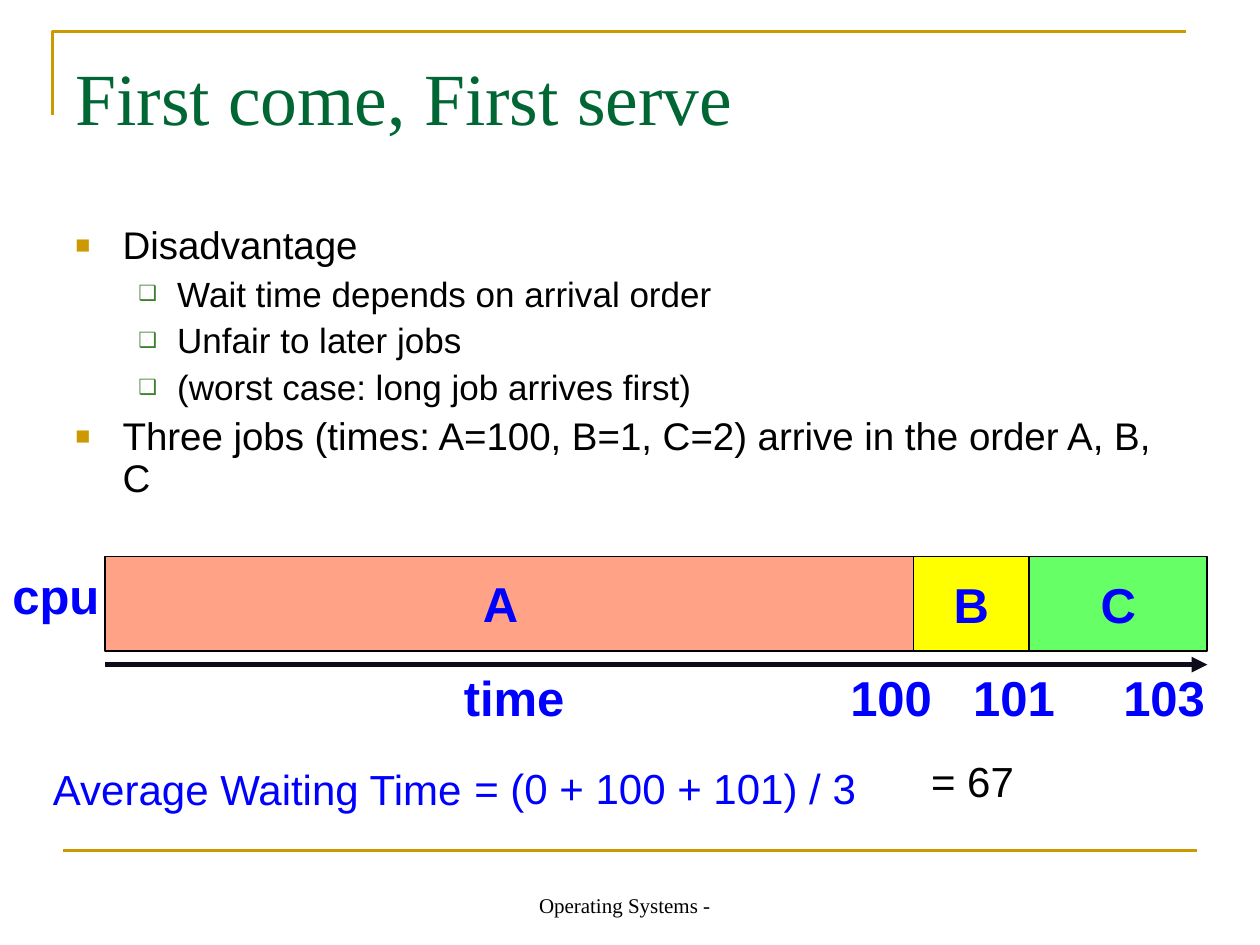
from dataclasses import dataclass

from lxml.etree import SubElement
from pptx import Presentation
from pptx.dml.color import RGBColor
from pptx.enum.shapes import MSO_CONNECTOR, MSO_SHAPE
from pptx.enum.text import MSO_ANCHOR, PP_ALIGN
from pptx.oxml.ns import qn
from pptx.util import Pt

EMU_PER_PX = 7620


@dataclass(frozen=True)
class Theme:
    """Colours, fonts and type sizes of the slide."""
    gold: str = "CC9900"
    green: str = "006633"
    bullet_green: str = "3B812F"
    blue: str = "0000FF"
    black: str = "000000"
    arrow: str = "0F0C19"
    job_a: str = "FFA285"
    job_b: str = "FFFF00"
    job_c: str = "66FF66"
    serif: str = "Times New Roman"
    sans: str = "Arial"
    title_size: int = 42
    label_size: int = 28
    formula_size: int = 24
    body_size: int = 22
    detail_size: int = 20
    footer_size: int = 12


THEME = Theme()


def px(length):
    """Turn px into EMU."""
    return length * EMU_PER_PX


def write(paragraph, text, size, color, font=THEME.sans, bold=False):
    """Add one styled run to a paragraph."""
    run = paragraph.add_run()
    run.text = text
    run.font.name = font
    run.font.size = Pt(size)
    run.font.bold = bold
    run.font.color.rgb = RGBColor.from_string(color)


def add_text_box(slide, left, top, width, height, wrap=True):
    """Add an empty text box and return its text frame."""
    frame = slide.shapes.add_textbox(px(left), px(top), px(width), px(height)).text_frame
    frame.word_wrap = wrap
    return frame


def style_line(line, color, width):
    """Set the colour and the width of a line."""
    line.color.rgb = RGBColor.from_string(color)
    line.width = Pt(width)


def add_line(slide, start, end, color, width):
    """Add a straight connector without a shadow."""
    connector = slide.shapes.add_connector(
        MSO_CONNECTOR.STRAIGHT, *map(px, start), *map(px, end))
    style_line(connector.line, color, width)
    SubElement(connector._element.spPr, qn("a:effectLst"))
    return connector


def add_title(slide, left, top, width, height):
    """Draw the corner rule and the title beside it."""
    builder = slide.shapes.build_freeform(px(left), px(top + 80), scale=1.0)
    builder.add_line_segments(
        [(px(left), px(top)), (px(left + width), px(top))], close=False)
    corner = builder.convert_to_shape()
    corner.shadow.inherit = False
    corner.fill.background()
    style_line(corner.line, THEME.gold, 1.5)
    frame = add_text_box(slide, left + 10, top + 14, width, height)
    write(frame.paragraphs[0], "First come, First serve",
          THEME.title_size, THEME.green, THEME.serif)


def set_bullet(paragraph, symbol, color, percent, margin, indent):
    """Give a paragraph a coloured bullet and a hanging indent."""
    properties = paragraph._p.get_or_add_pPr()
    properties.set("marL", str(px(margin)))
    properties.set("indent", str(px(-indent)))
    bullet_color = SubElement(properties, qn("a:buClr"))
    SubElement(bullet_color, qn("a:srgbClr"), val=color)
    SubElement(properties, qn("a:buSzPct"), val=str(percent * 1000))
    SubElement(properties, qn("a:buFont"), typeface=THEME.sans)
    SubElement(properties, qn("a:buChar"), char=symbol)


def add_bullets(slide, left, top, width, height):
    """Write the two-level bullet list."""
    items = [
        (0, "Disadvantage"),
        (1, "Wait time depends on arrival order"),
        (1, "Unfair to later jobs"),
        (1, "(worst case: long job arrives first)"),
        (0, "Three jobs (times: A=100, B=1, C=2) arrive in the order A, B, C"),
    ]
    levels = [
        (THEME.body_size, 5.5, ("■", THEME.gold, 65, 45, 45)),
        (THEME.detail_size, 5, ("❑", THEME.bullet_green, 60, 97, 37)),
    ]
    frame = add_text_box(slide, left, top, width, height)
    for index, (level, text) in enumerate(items):
        size, space, bullet = levels[level]
        paragraph = frame.add_paragraph() if index else frame.paragraphs[0]
        paragraph.level = level
        paragraph.line_spacing = 0.9
        paragraph.space_before = Pt(space)
        set_bullet(paragraph, *bullet)
        write(paragraph, text, size, THEME.black)


def add_job(slide, left, top, width, height, color):
    """Draw one job's bar and return its text frame."""
    bar = slide.shapes.add_shape(
        MSO_SHAPE.RECTANGLE, px(left), px(top), px(width), px(height))
    bar.shadow.inherit = False
    bar.fill.solid()
    bar.fill.fore_color.rgb = RGBColor.from_string(color)
    style_line(bar.line, THEME.black, 1)
    bar.text_frame.word_wrap = False
    bar.text_frame.vertical_anchor = MSO_ANCHOR.MIDDLE
    return bar.text_frame


def add_schedule(slide, left, top, width, height):
    """Draw the job bars on the time axis with their labels."""
    label_style = (THEME.label_size, THEME.blue, THEME.sans, True)
    axis = top + height + 13

    time_frame = add_text_box(slide, left + 330, axis - 3, 770, 68)
    time_paragraph = time_frame.paragraphs[0]
    tabs = SubElement(time_paragraph._p.get_or_add_pPr(), qn("a:tabLst"))
    for position in (368, 485, 628):
        SubElement(tabs, qn("a:tab"), pos=str(px(position)), algn="l")
    write(time_paragraph, "time\t100\t101\t103", *label_style)

    cpu_frame = add_text_box(slide, left - 100, top + 3, 107, 68, wrap=False)
    write(cpu_frame.paragraphs[0], "cpu", *label_style)

    arrow = add_line(slide, (left, axis), (left + width, axis), THEME.arrow, 3)
    SubElement(arrow.line._get_or_add_ln(), qn("a:tailEnd"), type="triangle")

    add_job(slide, left, top, 770, height, THEME.job_a)
    job_a_frame = add_text_box(slide, left + 348, top + 10, 212, 68)
    write(job_a_frame.paragraphs[0], "A", *label_style)

    job_left = left + 770
    for name, job_width, color in (("B", 110, THEME.job_b), ("C", 170, THEME.job_c)):
        paragraph = add_job(slide, job_left, top, job_width, height, color).paragraphs[0]
        paragraph.alignment = PP_ALIGN.CENTER
        write(paragraph, name, *label_style)
        job_left += job_width


def add_formula(slide, left, top, width, height):
    """Write the average waiting time and its result."""
    parts = [
        ("Average Waiting Time", 0, 7, 490, PP_ALIGN.CENTER, THEME.blue),
        ("= (0 + 100 + 101) / 3", 440, 6, 435, PP_ALIGN.LEFT, THEME.blue),
        ("= 67", 875, 0, width - 875, PP_ALIGN.LEFT, THEME.black),
    ]
    for text, offset, drop, part_width, alignment, color in parts:
        frame = add_text_box(slide, left + offset, top + drop, part_width, height)
        frame.paragraphs[0].alignment = alignment
        write(frame.paragraphs[0], text, THEME.formula_size, color)


def add_footer(slide, left, top, width, height):
    """Draw the bottom rule and the centred footer."""
    add_line(slide, (left, top), (left + width, top), THEME.gold, 1.5)
    frame = add_text_box(slide, left + 345, top + 10, 380, height - 10)
    frame.vertical_anchor = MSO_ANCHOR.BOTTOM
    frame.paragraphs[0].alignment = PP_ALIGN.CENTER
    write(frame.paragraphs[0], "Operating Systems -",
          THEME.footer_size, THEME.black, THEME.serif)


def main():
    """Build the slide and save it."""
    presentation = Presentation()
    presentation.slide_width = px(1200)
    presentation.slide_height = px(900)
    slide = presentation.slides.add_slide(presentation.slide_layouts[6])
    add_title(slide, 50, 30, 1080, 150)
    add_bullets(slide, 60, 210, 1080, 343)
    add_schedule(slide, 100, 530, 1050, 90)
    add_formula(slide, 0, 714, 988, 60)
    add_footer(slide, 60, 810, 1080, 70)
    presentation.save("out.pptx")


if __name__ == "__main__":
    main()
